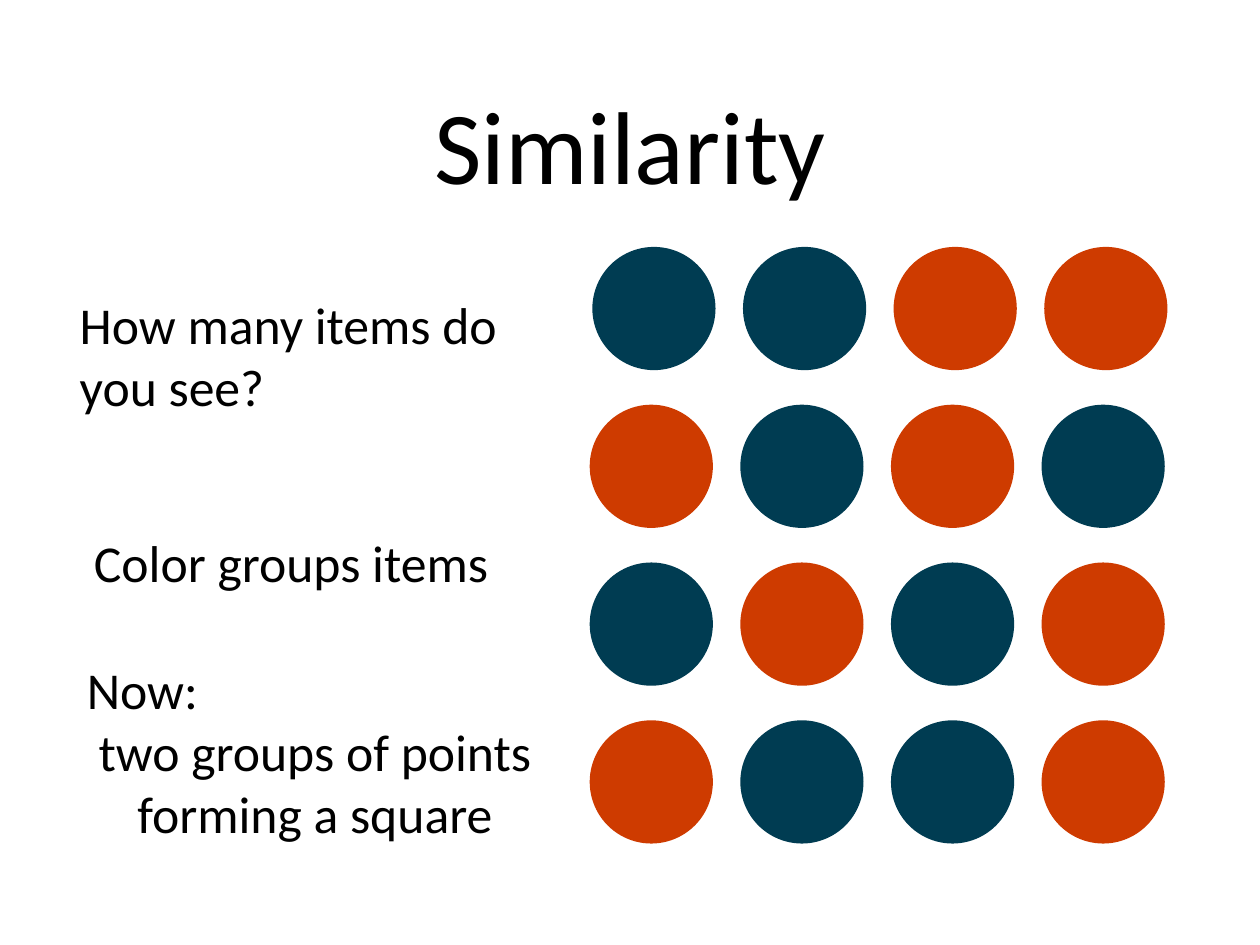
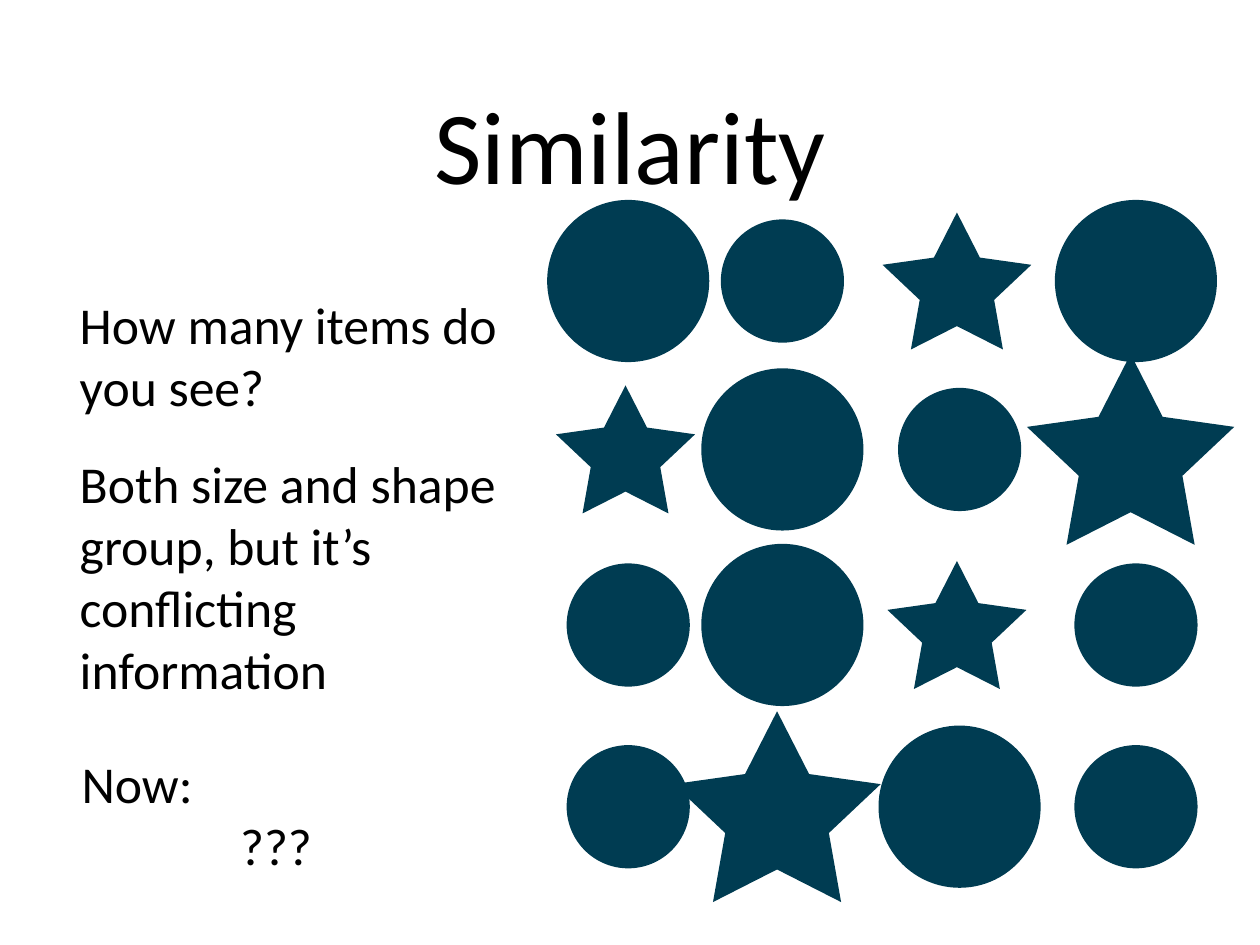
"""Build two slides on grouping by similarity."""
from dataclasses import dataclass
from pptx import Presentation
from pptx.dml.color import RGBColor
from pptx.enum.shapes import MSO_SHAPE
from pptx.enum.text import MSO_ANCHOR, PP_ALIGN
from pptx.util import Inches, Pt


@dataclass(frozen=True)
class Theme:
    """Colours, font and type sizes."""
    ink: RGBColor = RGBColor.from_string("000000")
    paper: RGBColor = RGBColor.from_string("FFFFFF")
    teal: RGBColor = RGBColor.from_string("003C52")
    rust: RGBColor = RGBColor.from_string("CE3B00")
    font: str = "Calibri"
    title: int = 84
    body: int = 42


THEME = Theme()
SIZE = (14.22, 10.66)
LEFT, MID = PP_ALIGN.LEFT, PP_ALIGN.CENTER
DOT, STAR = MSO_SHAPE.OVAL, MSO_SHAPE.STAR_5_POINT

TITLE = ("Similarity", (1.39, 0.28, 11.44, 2.67))
ASK = ((0.9, 3.27, 4.76, 1.47), [("How many items do you see?", LEFT)])
COLOR_TEXT = [
    ASK,
    ((0.72, 5.94, 5.13, 0.79), [("Color groups items", MID)]),
    ((0.98, 7.4, 5.15, 2.14),
     [("Now:", LEFT), ("two groups of points\vforming a square", MID)]),
]
SHAPE_TEXT = [
    ASK,
    ((0.9, 5.08, 4.76, 2.83),
     [("Both size and shape group, but it’s conflicting information", LEFT)]),
    ((0.92, 8.47, 4.39, 1.42), [("Now:", LEFT), ("???", MID)]),
]

COLOR_ROWS = ["TTRR", "RTRT", "TRTR", "RTTR"]
TONES = {"T": THEME.teal, "R": THEME.rust}
START, STEP, INDENT = (7.35, 3.48), (1.7, 1.78), 0.03

SHAPE_ROWS = ["OomO", "sOoS", "oOso", "oSOo"]
COLS = (7.09, 8.83, 10.83, 12.82)
ROWS = (3.17, 5.07, 7.05, 9.1)
KINDS = {
    "o": (DOT, 1.39, 0),
    "O": (DOT, 1.83, 0),
    "s": (STAR, 1.57, -0.03),
    "m": (STAR, 1.68, -0.03),
    "S": (STAR, 2.34, -0.06),
}
SQUASH = 0.92


def add_text(slide, box, lines, size, inset=0):
    """Add a middle-anchored text box of (text, alignment) lines."""
    frame = slide.shapes.add_textbox(*map(Inches, box)).text_frame
    frame.word_wrap = True
    frame.vertical_anchor = MSO_ANCHOR.MIDDLE
    frame.margin_left = frame.margin_right = Inches(inset)
    frame.margin_top = frame.margin_bottom = Inches(inset)
    for i, (text, align) in enumerate(lines):
        para = frame.paragraphs[0] if i == 0 else frame.add_paragraph()
        para.text = text
        para.alignment = align
        para.font.name = THEME.font
        para.font.size = Pt(size)
        para.font.color.rgb = THEME.ink


def add_item(slide, kind, x, y, tone):
    """Add one dot or star centred on x, y."""
    form, wide, nudge = KINDS[kind]
    high = wide * SQUASH if form == STAR else wide
    box = (x + nudge - wide / 2, y - high / 2, wide, high)
    item = slide.shapes.add_shape(form, *map(Inches, box))
    if form == STAR:
        item.adjustments[0] = 0.25
    item.shadow.inherit = False
    item.fill.solid()
    item.fill.fore_color.rgb = tone
    item.line.fill.background()


def add_slide(deck, texts):
    """Add a slide with the shared title and its texts."""
    slide = deck.slides.add_slide(deck.slide_layouts[6])
    slide.background.fill.solid()
    slide.background.fill.fore_color.rgb = THEME.paper
    head, box = TITLE
    add_text(slide, box, [(head, MID)], THEME.title, 0.06)
    for box, lines in texts:
        add_text(slide, box, lines, THEME.body)
    return slide


def main():
    """Build and save the deck."""
    deck = Presentation()
    deck.slide_width, deck.slide_height = map(Inches, SIZE)

    slide = add_slide(deck, COLOR_TEXT)
    for r, row in enumerate(COLOR_ROWS):
        for c, key in enumerate(row):
            x = START[0] + c * STEP[0] + (INDENT if r == 0 else 0)
            add_item(slide, "o", x, START[1] + r * STEP[1], TONES[key])

    slide = add_slide(deck, SHAPE_TEXT)
    for y, row in zip(ROWS, SHAPE_ROWS):
        for x, kind in zip(COLS, row):
            add_item(slide, kind, x, y, THEME.teal)

    deck.save("out.pptx")


if __name__ == "__main__":
    main()
